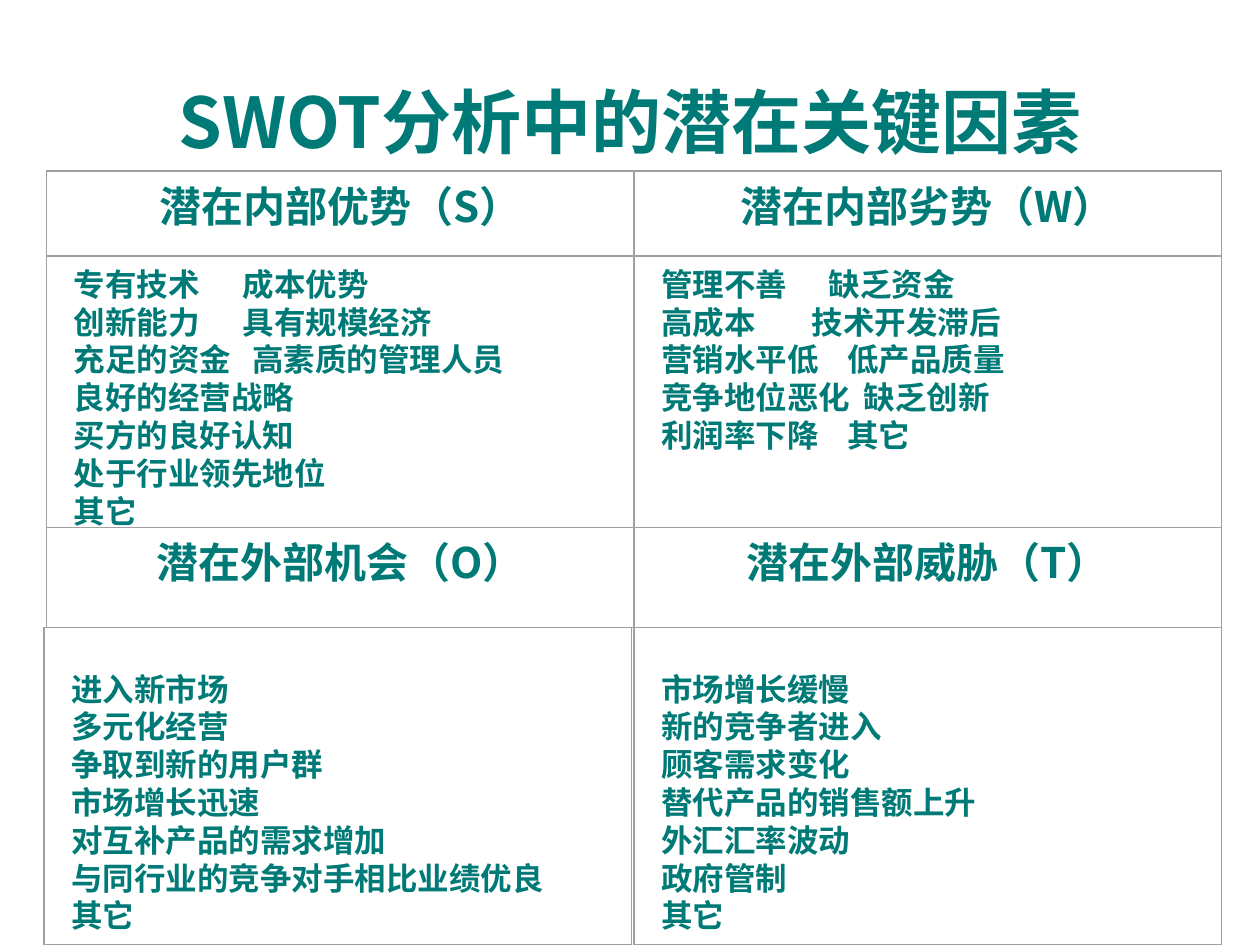
from dataclasses import dataclass
from itertools import accumulate

from lxml import etree
from pptx import Presentation
from pptx import util as u
from pptx.dml.color import RGBColor
from pptx.enum import shapes, text
from pptx.oxml.ns import qn


@dataclass(frozen=True)
class Theme:
    """Colours, type sizes and font of the slide."""
    ink: RGBColor = RGBColor(0x00, 0x7A, 0x77)
    rule: RGBColor = RGBColor(0xA0, 0xA0, 0xA0)
    font: str = "Noto Sans CJK SC"
    title: int = 40
    heading: int = 24
    body: int = 18
    leading: float = 1.2


@dataclass(frozen=True)
class Line:
    """One line of text, with the tab position of its second part in cm."""
    words: str
    tab: float = 0


@dataclass(frozen=True)
class Cell:
    """Content of one cell of the grid."""
    lines: tuple[Line, ...]
    size: int = Theme.body
    align: text.PP_ALIGN = text.PP_ALIGN.JUSTIFY
    top_inset: float = 0.18
    shift: float = 0


THEME = Theme()
LEFT, COL_W, PAD = 0.94, 11.84, 0.3
TOP, ROW_H = 3.45, (1.71, 5.48, 2.01, 6.4)
LOWER_INSET = 0.85


def heading(words: str) -> Cell:
    """Make a centred heading cell."""
    return Cell((Line(words),), THEME.heading, text.PP_ALIGN.CENTER)


def listing(*words: str, **options: float) -> Cell:
    """Make a cell of plain lines."""
    return Cell(tuple(map(Line, words)), **options)


GRID = (
    (heading("潜在内部优势（S）"), heading("潜在内部劣势（W）")),
    (
        Cell((
            Line("专有技术\t成本优势", 3.4),
            Line("创新能力\t具有规模经济", 3.4),
            Line("充足的资金\t高素质的管理人员", 3.6),
            Line("良好的经营战略"),
            Line("买方的良好认知"),
            Line("处于行业领先地位"),
            Line("其它"),
        )),
        Cell((
            Line("管理不善\t缺乏资金", 3.38),
            Line("高成本\t技术开发滞后", 3.03),
            Line("营销水平低\t低产品质量", 3.75),
            Line("竞争地位恶化\t缺乏创新", 4.08),
            Line("利润率下降\t其它", 3.75),
        )),
    ),
    (heading("潜在外部机会（O）"), heading("潜在外部威胁（T）")),
    (
        listing("进入新市场", "多元化经营", "争取到新的用户群", "市场增长迅速",
                "对互补产品的需求增加", "与同行业的竞争对手相比业绩优良", "其它",
                top_inset=LOWER_INSET, shift=-0.05),
        listing("市场增长缓慢", "新的竞争者进入", "顾客需求变化",
                "替代产品的销售额上升", "外汇汇率波动", "政府管制", "其它",
                top_inset=LOWER_INSET),
    ),
)


def assign(obj: object, values: dict) -> None:
    """Set each named attribute of an object."""
    for name, value in values.items():
        setattr(obj, name, value)


def write(p, line: Line, size: int, align: text.PP_ALIGN) -> None:
    """Write one formatted line into a paragraph."""
    assign(p, {"alignment": align, "line_spacing": u.Pt(size * THEME.leading),
               "space_before": u.Pt(0), "space_after": u.Pt(0)})
    if line.tab:
        tabs = etree.SubElement(p._p.get_or_add_pPr(), qn("a:tabLst"))
        etree.SubElement(tabs, qn("a:tab"), pos=str(int(u.Cm(line.tab))), algn="l")
    r = p.add_run()
    r.text = line.words
    assign(r.font, {"size": u.Pt(size), "bold": True, "name": THEME.font})
    r.font.color.rgb = THEME.ink
    etree.SubElement(r._r.get_or_add_rPr(), qn("a:ea"), typeface=THEME.font)


def draw_title(s, words: str) -> None:
    """Place and fill the title placeholder."""
    sp = s.shapes.title
    assign(sp, {"left": u.Cm(0.84), "top": u.Cm(1.7),
                "width": u.Cm(23.72), "height": u.Cm(1.47)})
    tf = sp.text_frame
    assign(tf, {"auto_size": text.MSO_AUTO_SIZE.NONE, "word_wrap": True,
                "vertical_anchor": text.MSO_ANCHOR.MIDDLE})
    write(tf.paragraphs[0], Line(words), THEME.title, text.PP_ALIGN.CENTER)


def draw_cell(s, cell: Cell, x: float, y: float, h: float) -> None:
    """Draw the text of a cell and the frame around it."""
    sp = s.shapes.add_textbox(u.Cm(x + PAD), u.Cm(y), u.Cm(COL_W - 2 * PAD), u.Cm(h))
    tf = sp.text_frame
    assign(tf, {"word_wrap": True, "margin_left": u.Cm(0.25), "margin_right": u.Cm(0.25),
                "margin_top": u.Cm(cell.top_inset), "margin_bottom": u.Cm(0.13),
                "vertical_anchor": text.MSO_ANCHOR.TOP})
    for i, line in enumerate(cell.lines):
        p = tf.add_paragraph() if i else tf.paragraphs[0]
        write(p, line, cell.size, cell.align)
    frame = s.shapes.add_shape(shapes.MSO_SHAPE.RECTANGLE,
                               u.Cm(x), u.Cm(y), u.Cm(COL_W), u.Cm(h))
    frame.shadow.inherit = False
    frame.fill.background()
    frame.line.color.rgb = THEME.rule
    frame.line.width = u.Pt(0)


def main() -> None:
    """Build the SWOT slide and save it."""
    prs = Presentation()
    assign(prs, {"slide_width": u.Cm(25.4), "slide_height": u.Cm(19.05)})
    s = prs.slides.add_slide(prs.slide_layouts.get_by_name("Title Only"))
    draw_title(s, "SWOT分析中的潜在关键因素")
    for row, y, h in zip(GRID, accumulate(ROW_H, initial=TOP), ROW_H):
        for col, cell in enumerate(row):
            draw_cell(s, cell, LEFT + col * COL_W + cell.shift, y, h)
    prs.save("out.pptx")


if __name__ == "__main__":
    main()
